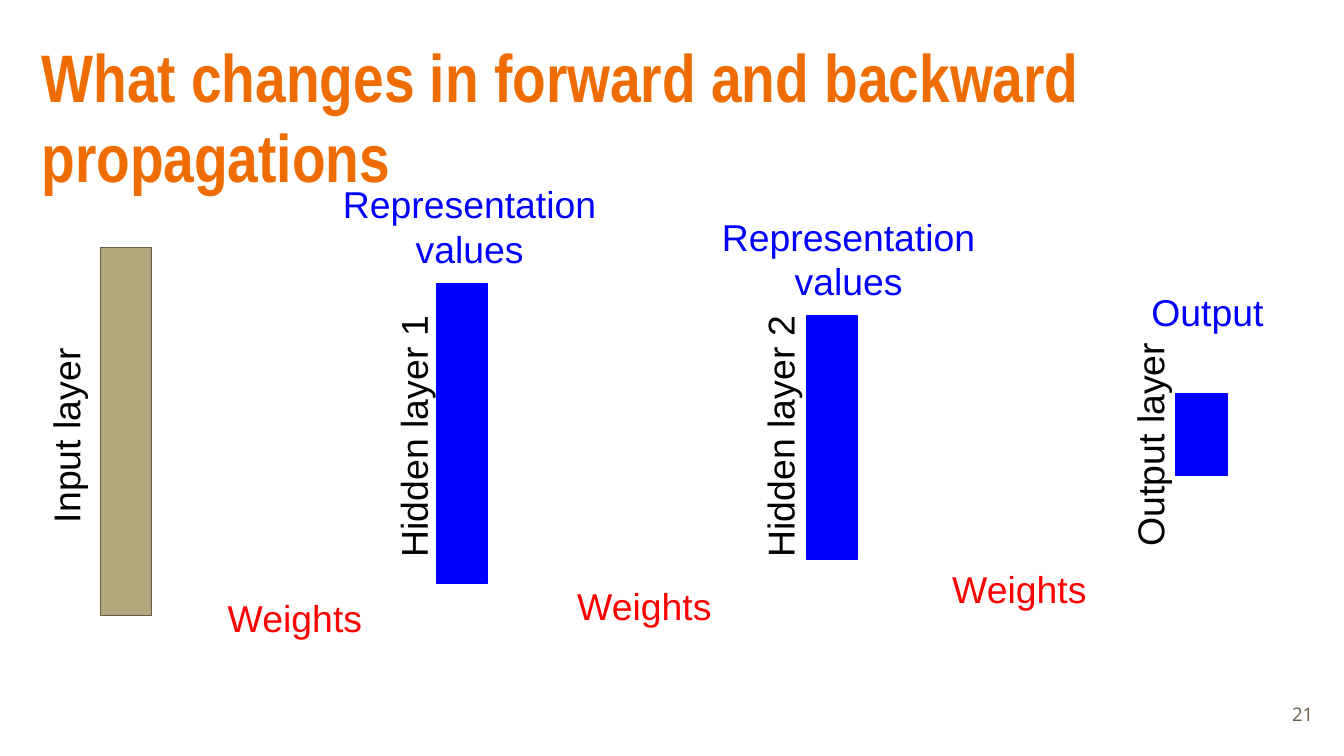
"""Build a slide on what changes in forward and backward propagation."""
from pptx import Presentation
from pptx.dml.color import RGBColor
from pptx.enum.shapes import MSO_SHAPE
from pptx.enum.text import MSO_ANCHOR, PP_ALIGN
from pptx.util import Inches, Pt

RECT = MSO_SHAPE.RECTANGLE
TOP, MIDDLE = MSO_ANCHOR.TOP, MSO_ANCHOR.MIDDLE
LEFT, CENTER, RIGHT = PP_ALIGN.LEFT, PP_ALIGN.CENTER, PP_ALIGN.RIGHT
BLUE, RED, BLACK = "0000FF", "FF0000", "000000"
ORANGE, TAN, BROWN = "EF6C00", "B3A77D", "695D46"


def rgb(value):
    return RGBColor.from_string(value)


def add_text(box, text, color, size=20, font="Arial", align=LEFT, anchor=TOP, bold=False, rotation=0):
    sp = s.shapes.add_textbox(*[Inches(v) for v in box])
    sp.rotation = rotation
    tf = sp.text_frame
    tf.word_wrap = True
    tf.vertical_anchor = anchor
    tf.margin_left = tf.margin_right = tf.margin_top = tf.margin_bottom = Inches(0.1)
    p = tf.paragraphs[0]
    p.alignment = align
    r = p.add_run()
    r.text = text
    r.font.name = font
    r.font.size = Pt(size)
    r.font.bold = bold
    r.font.color.rgb = rgb(color)


prs = Presentation()
prs.slide_width = Inches(10)
prs.slide_height = prs.slide_width * 9 // 16
s = prs.slides.add_slide(prs.slide_layouts[6])

add_text((0.21, 0.16, 9.79, 1.44), "What changes in forward and backward propagations",
         ORANGE, 36, "Arial Narrow", bold=True)
add_text((9.27, 5.1, 0.6, 0.43), "21", BROWN, 10, "Open Sans", RIGHT, MIDDLE)

layers = [
    ("Input layer", 0.75, 1.84, 2.74, TAN, BROWN, (-0.29, 2.82, 1.68, 0.66)),
    ("Hidden layer 1", 3.25, 2.11, 2.23, BLUE, BLUE, (2.04, 2.82, 2.19, 0.66)),
    ("Hidden layer 2", 6, 2.35, 1.81, BLUE, BLUE, (4.77, 2.82, 2.19, 0.66)),
    ("Output layer", 8.75, 2.93, 0.61, BLUE, BLUE, (7.52, 2.74, 2.19, 0.66)),
]
for name, x, y, height, fill, line, label_box in layers:
    sp = s.shapes.add_shape(RECT, Inches(x), Inches(y), Inches(0.38), Inches(height))
    sp.shadow.inherit = False
    sp.fill.solid()
    sp.fill.fore_color.rgb = rgb(fill)
    sp.line.color.rgb = rgb(line)
    sp.line.width = Pt(0.75)
    add_text(label_box, name, BLACK, rotation=270)

captions = [
    ("Representation values", 2.43, 1.25, BLUE),
    ("Representation values", 5.25, 1.49, BLUE),
    ("Output", 7.92, 2.05, BLUE),
    ("Weights", 1.13, 4.33, RED),
    ("Weights", 3.73, 4.24, RED),
    ("Weights", 6.52, 4.11, RED),
]
for text, x, y, color in captions:
    add_text((x, y, 2.13, 0.61), text, color, align=CENTER)

prs.save("out.pptx")
